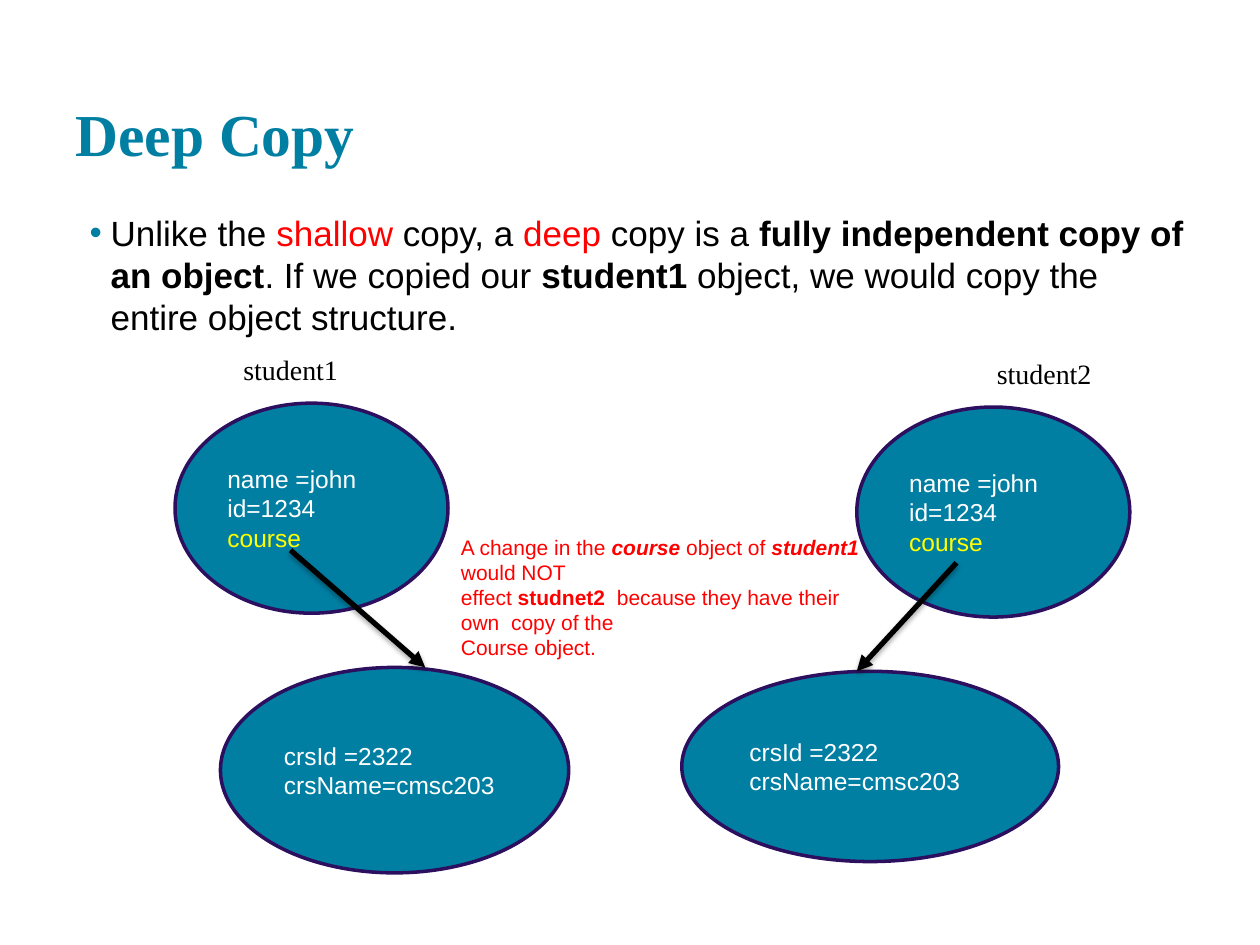
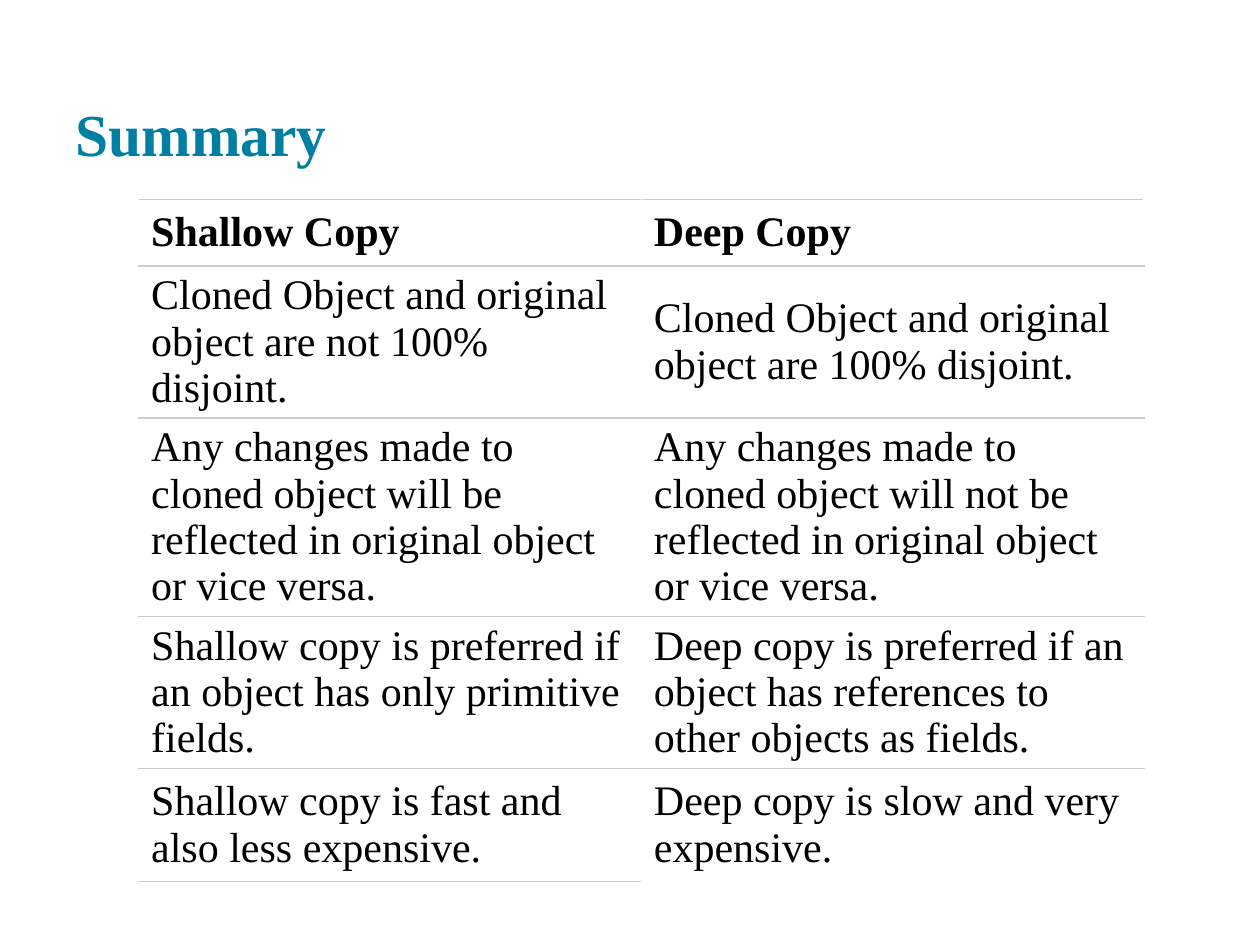
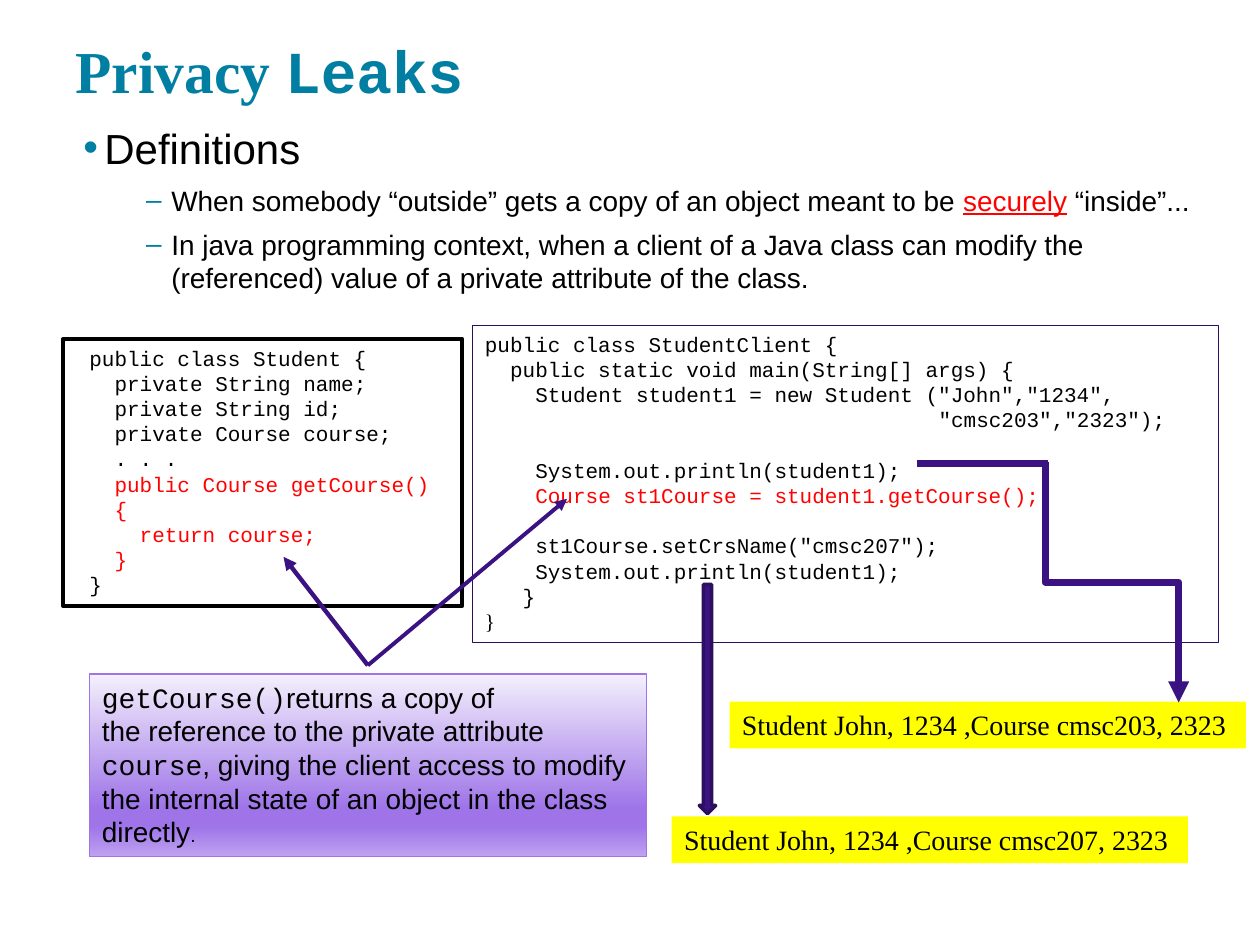
from collections import namedtuple
from dataclasses import dataclass, replace

from lxml.etree import SubElement
from pptx import Presentation
from pptx.dml.color import RGBColor
from pptx.enum.shapes import MSO_CONNECTOR as Link, MSO_SHAPE as Preset
from pptx.enum.text import MSO_ANCHOR as Anchor, MSO_AUTO_SIZE as AutoSize, PP_ALIGN as Align
from pptx.oxml.ns import qn
from pptx.util import Pt

Box = namedtuple("Box", "x y w h")
TITLE_ONLY, TITLE_AND_BODY = 5, 1


@dataclass(frozen=True)
class Style:
    name: str
    size: float
    color: str = "000000"
    bold: bool = False


@dataclass(frozen=True)
class Theme:
    teal: str = "007FA3"
    navy: str = "2C105F"
    violet: str = "3A1281"
    lilac: str = "9E74E8"
    black: str = "000000"
    white: str = "FFFFFF"
    red: str = "FF0000"
    yellow: str = "FFFF00"
    rule: str = "CCCCCC"
    callout_stops: tuple = ((0, "F4F0FC"), (74, "9E74E8"), (83, "9E74E8"), (100, "BEA2F0"))
    line_factor: float = 1.2
    code_char: float = 7.2
    title: Style = Style("Times New Roman", 34, "007FA3", True)
    lead: Style = Style("Arial", 20)
    heading: Style = Style("Arial", 24)
    detail: Style = Style("Arial", 16)
    node: Style = Style("Arial", 14, "FFFFFF")
    remark: Style = Style("Arial", 12, "FF0000")
    label: Style = Style("Times New Roman", 16)
    cell: Style = Style("Times New Roman", 24)
    code: Style = Style("Courier New", 12)


THEME = Theme()
RED = {"color": THEME.red}
BOLD = {"bold": True}
BOLD_ITALIC = {"bold": True, "italic": True}
MONO = {"name": "Courier New"}


def rgb(color):
    return RGBColor.from_string(color)


def place(shape, box):
    shape.left, shape.top, shape.width, shape.height = map(Pt, box)


def set_font(font, name=None, size=None, color=None, **flags):
    if name:
        font.name = name
    if size:
        font.size = Pt(size)
    if color:
        font.color.rgb = rgb(color)
    for flag, value in flags.items():
        setattr(font, flag, value)


def write(paragraph, runs, style, before=0, spaced=True):
    """Fill a paragraph; a run is a string or a (string, font changes) pair."""
    paragraph.alignment = Align.LEFT
    paragraph.space_before = Pt(before)
    if spaced:
        paragraph.line_spacing = Pt(round(style.size * THEME.line_factor, 2))
    set_font(paragraph.font, style.name, style.size, style.color, bold=style.bold)
    for item in [runs] if isinstance(runs, str) else runs:
        text, changes = (item, {}) if isinstance(item, str) else item
        run = paragraph.add_run()
        run.text = text
        set_font(run.font, **changes)


def write_all(frame, paragraphs, style):
    for paragraph, runs in zip(paragraphs_of(frame, len(paragraphs)), paragraphs):
        write(paragraph, runs, style)


def paragraphs_of(frame, count):
    return [frame.paragraphs[0]] + [frame.add_paragraph() for _ in range(count - 1)]


def indent(paragraph, left, first=0, bullet=None):
    props = paragraph._p.get_or_add_pPr()
    props.set("marL", str(Pt(left)))
    props.set("indent", str(Pt(first)))
    if bullet:
        mark_color = SubElement(props, qn("a:buClr"))
        SubElement(mark_color, qn("a:srgbClr")).set("val", THEME.teal)
        SubElement(props, qn("a:buChar")).set("char", bullet)
        # Default run properties must close the paragraph properties.
        for defaults in props.findall(qn("a:defRPr")):
            props.append(defaults)


def add_panel(slide, preset, box, fill=None, line=None, weight=0.75):
    panel = slide.shapes.add_shape(preset, *map(Pt, box))
    panel.shadow.inherit = False
    if fill:
        panel.fill.solid()
        panel.fill.fore_color.rgb = rgb(fill)
    else:
        panel.fill.background()
    if line:
        panel.line.color.rgb = rgb(line)
        panel.line.width = Pt(weight)
    else:
        panel.line.fill.background()
    panel.text_frame.vertical_anchor = Anchor.TOP
    panel.text_frame.word_wrap = True
    return panel


def add_link(slide, start, end, color, weight, kind=Link.STRAIGHT, arrow=True, shadow=False):
    link = slide.shapes.add_connector(kind, *map(Pt, start + end))
    link.line.color.rgb = rgb(color)
    link.line.width = Pt(weight)
    if arrow:
        SubElement(link.line._get_or_add_ln(), qn("a:tailEnd")).set("type", "triangle")
    effects = SubElement(link._element.spPr, qn("a:effectLst"))
    if shadow:
        cast = SubElement(effects, qn("a:outerShdw"), blurRad=str(Pt(3.1)), dist=str(Pt(1.8)),
                          dir="5400000", rotWithShape="0")
        tint = SubElement(cast, qn("a:srgbClr"), val=THEME.black)
        SubElement(tint, qn("a:alpha"), val="35000")
    return link


def add_label(slide, box, text, fill=None):
    label = add_panel(slide, Preset.RECTANGLE, box, fill)
    label.text_frame.word_wrap = False
    write(label.text_frame.paragraphs[0], text, THEME.label)


def prepare_placeholder(holder, box, anchor):
    place(holder, box)
    frame = holder.text_frame
    frame.auto_size = AutoSize.NONE
    frame.word_wrap = True
    frame.vertical_anchor = anchor
    frame.margin_left = frame.margin_right = frame.margin_top = frame.margin_bottom = Pt(7.2)
    return frame


def new_slide(deck, layout, title, title_height=86.4):
    slide = deck.slides.add_slide(deck.slide_layouts[layout])
    frame = prepare_placeholder(slide.shapes.title, Box(36, 17.3, 648, title_height), Anchor.BOTTOM)
    write(frame.paragraphs[0], title, THEME.title, spaced=False)
    return slide


def fill_body(slide, box, entries):
    """Write (level, style, runs) entries as a bulleted list."""
    frame = prepare_placeholder(slide.placeholders[1], box, Anchor.TOP)
    for paragraph, (level, style, runs) in zip(paragraphs_of(frame, len(entries)), entries):
        paragraph.level = level
        write(paragraph, runs, style, before=6 * level)
        left, first, bullet = ((20, -12, "•"), (58.3, -14.4, "–"))[level]
        indent(paragraph, left, first, bullet)


def add_node(slide, box, lines):
    node = add_panel(slide, Preset.OVAL, box, THEME.teal, THEME.navy, 2)
    node.text_frame.vertical_anchor = Anchor.MIDDLE
    write_all(node.text_frame, lines, THEME.node)


def add_student(slide, x, y, name, name_dx, course, arrow_start, arrow_dx):
    """Draw a student and its course; the other parts are relative to (x, y)."""
    course_top = 151
    add_label(slide, Box(x + name_dx, y - 32.5, 69, 28), name)
    add_node(slide, Box(x, y, 156, 120),
             ["name =john", "id=1234", [("course", {"color": THEME.yellow})]])
    course_dx, width, height = course
    add_node(slide, Box(x + course_dx, y + course_top, width, height),
             ["crsId =2322", "crsName=cmsc203"])
    start_dx, start_dy = arrow_start
    add_link(slide, (x + start_dx, y + start_dy), (x + arrow_dx, y + course_top),
             THEME.black, 3, shadow=True)


def deep_copy_slide(deck):
    slide = new_slide(deck, TITLE_AND_BODY, "Deep Copy")
    fill_body(slide, Box(36, 113.8, 648, 378), [(0, THEME.lead, [
        "Unlike the ", ("shallow", RED), " copy, a ", ("deep", RED), " copy is a ",
        ("fully independent copy of an object", BOLD), ". If we copied our ",
        ("student1", BOLD), " object, we would copy the entire object structure."])])
    add_student(slide, 100, 230.4, "student1", 32, (26, 199, 117.4), (66, 84), 143)
    add_student(slide, 489.6, 232.6, "student2", 73, (-100, 215.3, 108.7), (57, 89), 0)

    remark = slide.shapes.add_textbox(*map(Pt, Box(256.3, 301.7, 258.5, 80)))
    remark.text_frame.word_wrap = True
    write_all(remark.text_frame, [
        ["A change in the ", ("course", BOLD_ITALIC), " object of ",
         ("student1", BOLD_ITALIC), " would NOT"],
        ["effect ", ("studnet2", BOLD), "  because they have their  own  copy of the"],
        "Course object."], THEME.remark)


def add_rule(cell, side):
    edge = SubElement(cell._tc.get_or_add_tcPr(), qn(f"a:{side}"), w=str(Pt(0.75)))
    SubElement(SubElement(edge, qn("a:solidFill")), qn("a:srgbClr"), val=THEME.rule)


def add_comparison(slide, box, heights, rows):
    table = slide.shapes.add_table(len(rows), len(rows[0]), *map(Pt, box)).table
    table.first_row = table.horz_banding = False
    for r, (height, texts) in enumerate(zip(heights, rows)):
        table.rows[r].height = Pt(height)
        style = replace(THEME.cell, bold=r == 0)
        for c, text in enumerate(texts):
            cell = table.cell(r, c)
            add_rule(cell, "lnT")
            if (r, c) != (len(rows) - 1, len(texts) - 1):
                add_rule(cell, "lnB")
            cell.fill.solid()
            cell.fill.fore_color.rgb = rgb(THEME.white)
            cell.vertical_anchor = Anchor.MIDDLE
            write(cell.text_frame.paragraphs[0], text, style, spaced=False)


def summary_slide(deck):
    slide = new_slide(deck, TITLE_ONLY, "Summary")
    add_comparison(slide, Box(79.2, 113.8, 574.6, 324), (38.2, 64.8, 91.4, 64.8, 64.8), [
        ("Shallow Copy", "Deep Copy"),
        ("Cloned Object and original object are not 100% disjoint.",
         "Cloned Object and original object are 100% disjoint."),
        ("Any changes made to cloned object will be reflected in original object or vice versa.",
         "Any changes made to cloned object will not be reflected in original object or vice versa."),
        ("Shallow copy is preferred if an object has only primitive fields.",
         "Deep copy is preferred if an object has references to other objects as fields."),
        ("Shallow copy is fast and also less expensive.", "Deep copy is slow and very expensive."),
    ])


def add_code(slide, box, line, weight, lines, margin=0):
    """Write (columns in, code, font changes) lines; None leaves a line free."""
    frame = add_panel(slide, Preset.RECTANGLE, box, None, line, weight).text_frame
    gap = 0
    shown = [entry for entry in lines if entry]
    paragraphs = iter(paragraphs_of(frame, len(shown)))
    for entry in lines:
        if entry is None:
            gap = THEME.code.size * THEME.line_factor
            continue
        columns, code, changes = entry
        paragraph = next(paragraphs)
        write(paragraph, [(code, changes)], THEME.code, before=gap)
        indent(paragraph, margin + columns * THEME.code_char)
        gap = 0


def add_callout(slide, box):
    callout = add_panel(slide, Preset.RECTANGLE, box, None, THEME.lilac)
    callout.fill.gradient()
    callout.fill.gradient_angle = 270
    stops = callout._element.spPr.find(qn("a:gradFill")).find(qn("a:gsLst"))
    for stop in list(stops):
        stops.remove(stop)
    for percent, color in THEME.callout_stops:
        stop = SubElement(stops, qn("a:gs"), pos=str(percent * 1000))
        SubElement(stop, qn("a:srgbClr"), val=color)
    write_all(callout.text_frame, [
        [("getCourse()", MONO), "returns a copy of"],
        ["the reference to the private attribute ", ("course", MONO),
         ", giving the client access to modify the internal state of an object in the class directly",
         (".", {"size": 11})]], THEME.detail)


def add_output_arrows(slide):
    add_panel(slide, Preset.DOWN_ARROW, Box(399.6, 334, 9.4, 131), THEME.violet, THEME.navy, 2)
    elbow = add_link(slide, (704.2, 294.5), (566.6, 370.8), THEME.violet, 4, Link.ELBOW)
    elbow._element.spPr.find(qn("a:xfrm")).set("rot", str(270 * 60000))
    add_link(slide, (524.2, 265), (599, 265), THEME.violet, 4, arrow=False)


def privacy_leaks_slide(deck):
    slide = new_slide(deck, TITLE_AND_BODY, ["Privacy ", ("Leaks", MONO)], 50.4)
    fill_body(slide, Box(32.4, 62.6, 671.8, 430.6), [
        (0, THEME.heading, "Definitions"),
        (1, THEME.detail, ["When somebody “outside” gets a copy of an object meant to be ",
                           ("securely", {"color": THEME.red, "underline": True}), " “inside”..."]),
        (1, THEME.detail, "In java programming context, when a client of a Java class can modify "
                          "the (referenced) value of a private attribute of the class."),
    ])
    add_callout(slide, Box(51.1, 385.2, 318.2, 104.4))
    add_code(slide, Box(36, 193.7, 228.2, 152.6), THEME.black, 2.25, [
        (0, "public class Student {", {}),
        (2, "private String name;", {}),
        (2, "private String id;", {}),
        (2, "private Course course;", {}),
        (2, ". . .", {}),
        (2, "public Course getCourse()", RED),
        (2, "{", RED),
        (4, "return course;", RED),
        (2, "}", RED),
        (0, "}", {}),
    ], margin=8)
    add_code(slide, Box(270, 185.8, 426.2, 181.4), THEME.navy, 0.75, [
        (0, "public class StudentClient {", {}),
        (2, "public static void main(String[] args) {", {}),
        (4, 'Student student1 = new Student ("John","1234",', {}),
        (36, '"cmsc203","2323");', {}),
        None,
        (4, "System.out.println(student1);", {}),
        (4, "Course st1Course = student1.getCourse();", RED),
        None,
        (4, 'st1Course.setCrsName("cmsc207");', {}),
        (4, "System.out.println(student1);", {}),
        (3, "}", {}),
        (0, "}", {"name": THEME.label.name}),
    ])
    for target, weight in (((162, 318.2), 2.5), ((324, 285.1), 2.25)):
        add_link(slide, (210.2, 380.2), target, THEME.violet, weight)
    for x, y, course in ((383.8, 466.5, "cmsc207"), (416.9, 401, "cmsc203")):
        add_label(slide, Box(x, y, 295, 26.7), f"Student John, 1234 ,Course {course}, 2323",
                  THEME.yellow)
    add_output_arrows(slide)


def main():
    deck = Presentation()
    deck.slide_width, deck.slide_height = Pt(720), Pt(540)
    deep_copy_slide(deck)
    summary_slide(deck)
    privacy_leaks_slide(deck)
    deck.save("out.pptx")


if __name__ == "__main__":
    main()
